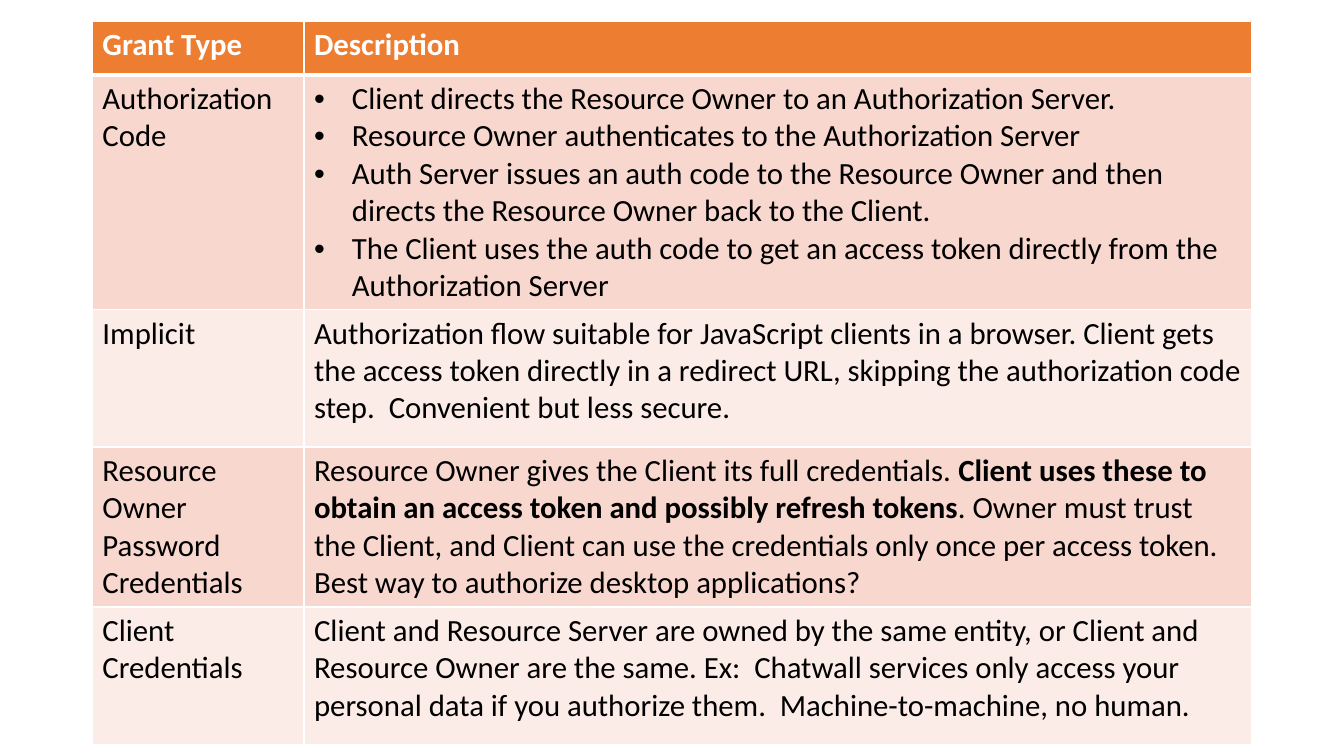
from dataclasses import dataclass
from lxml.etree import SubElement
from pptx import Presentation
from pptx.dml.color import RGBColor
from pptx.oxml.ns import qn
from pptx.util import Pt


@dataclass(frozen=True)
class Theme:
    font: str = "Calibri"
    size: int = 22
    header: str = "ED7D31"
    bands: tuple = ("F8D7CE", "FCECE8")
    light: str = "FFFFFF"
    dark: str = "000000"
    rule: float = 1
    header_rule: float = 3


theme = Theme()


def add_border(cell, side, width):
    ln = SubElement(cell._tc.get_or_add_tcPr(), qn(f"a:{side}"), w=str(Pt(width)))
    fill = SubElement(ln, qn("a:solidFill"))
    SubElement(fill, qn("a:srgbClr"), val=theme.light)


def add_bullet(p):
    pPr = p._p.get_or_add_pPr()
    for name, value in {"marL": Pt(27), "indent": -Pt(27)}.items():
        pPr.set(name, str(value))
    SubElement(pPr, qn("a:buFont"), typeface="Arial")
    SubElement(pPr, qn("a:buChar"), char="•")


grants = [
    ("Grant Type", [["Description"]]),
    ("Authorization Code", [
        ["Client directs the Resource Owner to an Authorization Server."],
        ["Resource Owner authenticates to the Authorization Server"],
        ["Auth Server issues an auth code to the Resource Owner and then "
         "directs the Resource Owner back to the Client."],
        ["The Client uses the auth code to get an access token directly from "
         "the Authorization Server"],
    ]),
    ("Implicit", [[
        "Authorization flow suitable for JavaScript clients in a browser. "
        "Client gets the access token directly in a redirect URL, skipping "
        "the authorization code step.  Convenient but less secure."]]),
    ("Resource Owner Password Credentials", [[
        "Resource Owner gives the Client its full credentials. ",
        "Client uses these to obtain an access token and possibly refresh tokens",
        ". Owner must trust the Client, and Client can use the credentials "
        "only once per access token. Best way to authorize desktop applications?"]]),
    ("Client Credentials", [[
        "Client and Resource Server are owned by the same entity, or Client "
        "and Resource Owner are the same. Ex:  Chatwall services only access "
        "your personal data if you authorize them.  Machine-to-machine, no human."]]),
]
col_widths = [151.2, 676.8]
row_heights = [38, 127.6, 98, 98, 98]

prs = Presentation()
prs.slide_width, prs.slide_height = Pt(960), Pt(540)
s = prs.slides.add_slide(prs.slide_layouts[6])
table = s.shapes.add_table(len(grants), len(col_widths), Pt(66), Pt(15.5),
                           Pt(sum(col_widths)), Pt(sum(row_heights))).table
for col, width in zip(table.columns, col_widths):
    col.width = Pt(width)
for row, height in zip(table.rows, row_heights):
    row.height = Pt(height)

for i, (grant, description) in enumerate(grants):
    is_header = i == 0
    fill = theme.header if is_header else theme.bands[(i - 1) % 2]
    borders = {
        "lnL": theme.rule,
        "lnR": theme.rule,
        "lnT": theme.header_rule if i == 1 else theme.rule,
        "lnB": theme.header_rule if is_header else theme.rule,
    }
    for j, paragraphs in enumerate(([[grant]], description)):
        cell = table.cell(i, j)
        for side, width in borders.items():
            add_border(cell, side, width)
        cell.fill.solid()
        cell.fill.fore_color.rgb = RGBColor.from_string(fill)
        tf = cell.text_frame
        for n, runs in enumerate(paragraphs):
            p = tf.add_paragraph() if n else tf.paragraphs[0]
            if len(paragraphs) > 1:
                add_bullet(p)
            for k, text in enumerate(runs):
                r = p.add_run()
                r.text = text
                formats = {"name": theme.font, "size": Pt(theme.size),
                           "bold": is_header or k == 1}
                for name, value in formats.items():
                    setattr(r.font, name, value)
                r.font.color.rgb = RGBColor.from_string(
                    theme.light if is_header else theme.dark)

prs.save("out.pptx")
